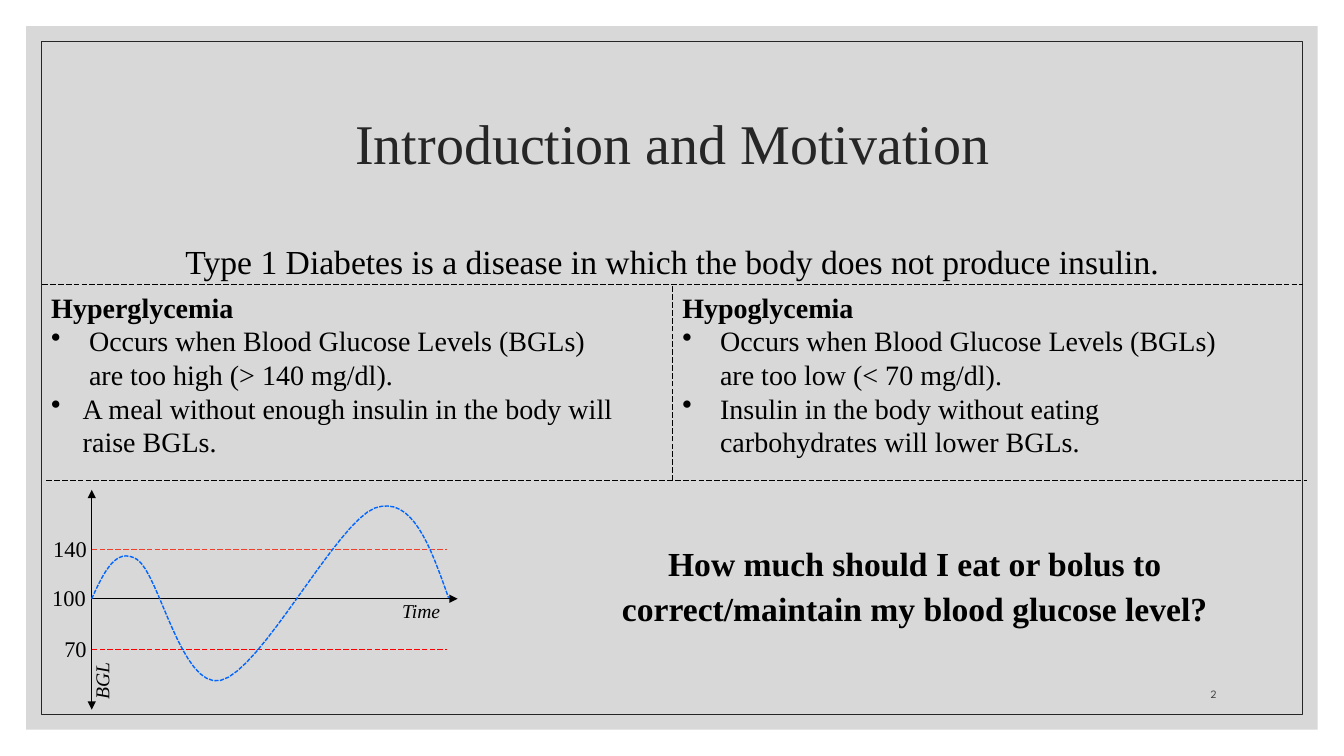
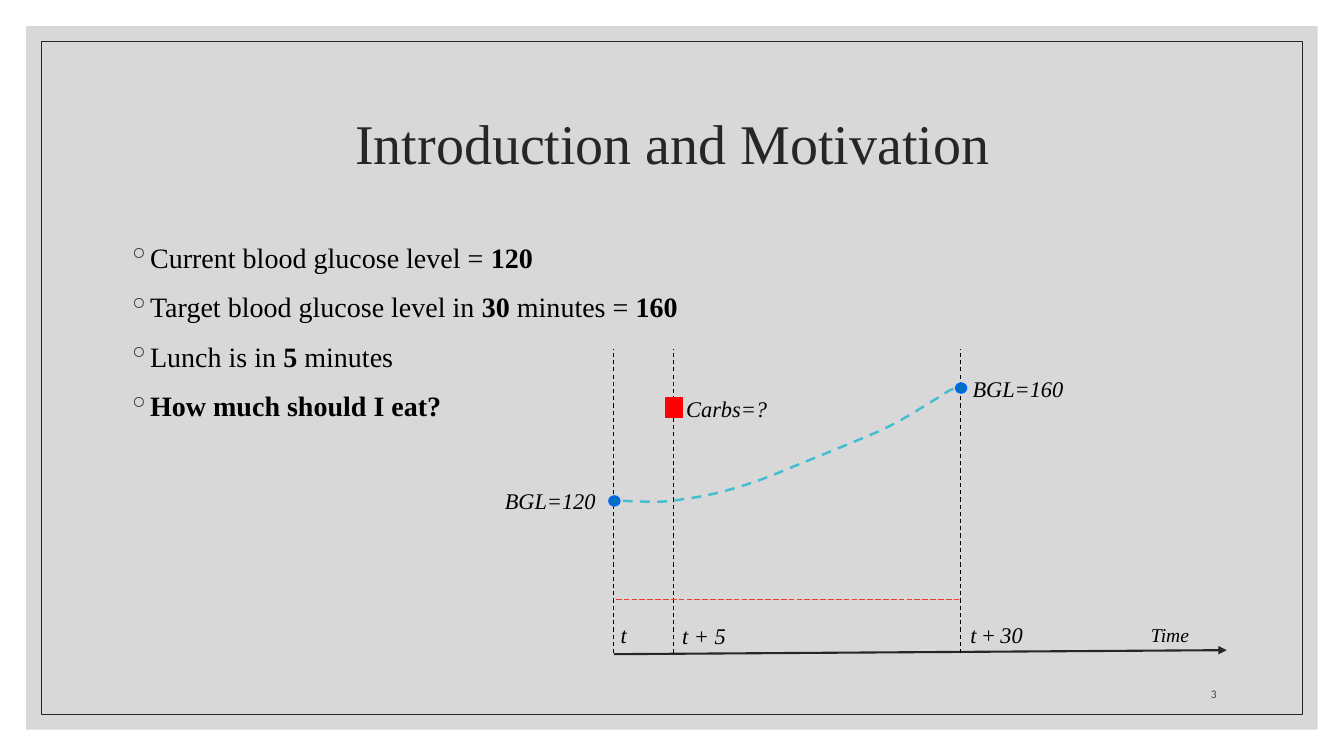
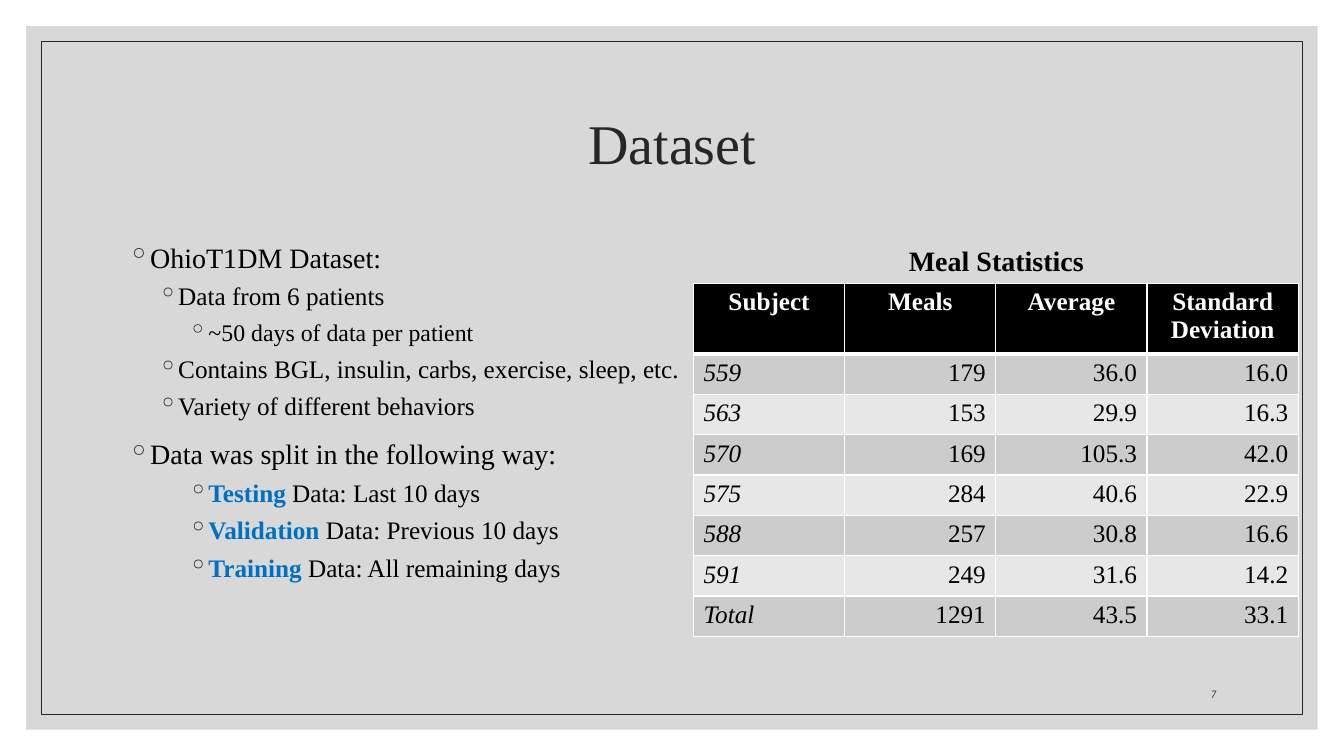
from lxml.etree import SubElement
from pptx import Presentation
from pptx.dml.color import RGBColor
from pptx.enum.dml import MSO_LINE
from pptx.enum.shapes import MSO_CONNECTOR, MSO_SHAPE
from pptx.enum.text import MSO_ANCHOR, PP_ALIGN
from pptx.oxml.ns import qn
from pptx.util import Pt

BLACK = RGBColor(0x00, 0x00, 0x00)
WHITE = RGBColor(0xFF, 0xFF, 0xFF)
INK = RGBColor(0x26, 0x26, 0x26)
PANEL = RGBColor(0xBF, 0xBF, 0xBF)
NUMBER_GREY = RGBColor(0x40, 0x40, 0x40)
LIMIT_RED = RGBColor(0xF0, 0x3F, 0x2B)
RED = RGBColor(0xFF, 0x00, 0x00)
BLUE = RGBColor(0x00, 0x70, 0xC0)
BRIGHT_BLUE = RGBColor(0x00, 0x66, 0xFF)
TEAL = RGBColor(0x44, 0xBD, 0xD0)
BAND_DARK = RGBColor(0xCC, 0xCC, 0xCC)
BAND_LIGHT = RGBColor(0xE7, 0xE7, 0xE7)

SERIF = "Times New Roman"
NUMBER_FONT = "League Spartan"
WIDTH, HEIGHT = 960, 540
BODY_LEFT, BODY_TOP, BODY_WIDTH = 84.24, 165.6, 792
# Indent, space before, line spacing and font size of each outline level
LEVELS = [(14.4, 9, 1.1, 20), (36, 5, None, 18), (57.6, 5, None, 17)]

GLUCOSE_CURVE = [
    (65.52, 427.68), (74.16, 408.96), (82.8, 390.24), (97.92, 399.6),
    (113.76, 409.68), (129.6, 492.48), (157.68, 486), (186.48, 479.52),
    (240.48, 372.96), (267.84, 362.88), (294.48, 353.52), (307.44, 390.24),
    (320.4, 426.96)]
TARGET_CURVE = [
    (681.12, 277.92), (677.52, 278.64), (674.64, 281.52), (666, 286.56),
    (657.36, 291.6), (647.28, 298.8), (629.28, 307.44), (611.28, 315.36),
    (580.32, 327.6), (558, 336.96), (535.68, 346.32), (509.04, 354.24),
    (488.88, 356.4), (469.44, 360), (460.08, 357.84), (442.8, 357.84)]
MEALS = [
    ("Subject", "Meals", "Average", "Standard Deviation"),
    ("559", "179", "36.0", "16.0"),
    ("563", "153", "29.9", "16.3"),
    ("570", "169", "105.3", "42.0"),
    ("575", "284", "40.6", "22.9"),
    ("588", "257", "30.8", "16.6"),
    ("591", "249", "31.6", "14.2"),
    ("Total", "1291", "43.5", "33.1")]


def add_box(page, left, top, width, height, anchor=MSO_ANCHOR.TOP):
    """Add an empty wrapping text box."""
    box = page.shapes.add_textbox(Pt(left), Pt(top), Pt(width), Pt(height))
    box.text_frame.word_wrap = True
    box.text_frame.vertical_anchor = anchor
    return box


def write(para, text, size, color=BLACK, bold=False, italic=False,
          align=PP_ALIGN.LEFT, font=SERIF, accent=None):
    """Fill a paragraph; parts between asterisks turn bold, or upright in italics."""
    para.alignment = align
    para.font.name, para.font.size = font, Pt(size)
    para.font.bold, para.font.italic = bold, italic
    para.font.color.rgb = color
    for index, part in enumerate(text.split("*")):
        if not part:
            continue
        span = para.add_run()
        span.text = part
        if index % 2 and italic:
            span.font.italic = False
        elif index % 2:
            span.font.bold = True
            if accent is not None:
                span.font.color.rgb = accent


def add_text(page, text, left, top, width, height, size,
             anchor=MSO_ANCHOR.TOP, spacing=None, **style):
    """Add a text box with one paragraph."""
    box = add_box(page, left, top, width, height, anchor)
    para = box.text_frame.paragraphs[0]
    if spacing:
        para.line_spacing = spacing
    write(para, text, size, **style)
    return box


def add_label(page, text, left, top, width, size=16):
    """Add an italic diagram label."""
    return add_text(page, text, left, top, width, 26.64, size, italic=True)


def set_bullet(para, character, indent, hanging, color=None):
    """Give a paragraph a bullet and a hanging indent; call before write."""
    properties = para._p.get_or_add_pPr()
    properties.set("marL", str(Pt(indent)))
    properties.set("indent", str(-Pt(hanging)))
    if color is not None:
        bullet_color = SubElement(properties, qn("a:buClr"))
        SubElement(bullet_color, qn("a:srgbClr"), val=str(color))
    SubElement(properties, qn("a:buChar"), char=character)


def next_para(frame, index):
    """Return the first paragraph for index 0, otherwise a new one."""
    return frame.add_paragraph() if index else frame.paragraphs[0]


def add_outline(page, items):
    """Add the bulleted body from (level, text, size or None) items."""
    box = add_box(page, BODY_LEFT, BODY_TOP, BODY_WIDTH, 303.12)
    for index, (level, text, own_size) in enumerate(items):
        indent, before, spacing, size = LEVELS[level]
        para = next_para(box.text_frame, index)
        para.level = level
        para.space_before = Pt(before)
        if spacing:
            para.line_spacing = spacing
        set_bullet(para, "◦", indent, 14.4, INK)
        write(para, text, own_size or size, accent=BLUE if level else None)


def add_condition(page, left, heading, items):
    """Add a bold heading with (indent, text) bullets below it."""
    box = add_box(page, left, 203.76, 419.04, 128.16)
    write(box.text_frame.paragraphs[0], heading, 20, bold=True)
    for indent, text in items:
        para = box.text_frame.add_paragraph()
        set_bullet(para, "•", indent, indent)
        write(para, text, 20)


def add_line(page, start, end, color=BLACK, width=0.5, dash=None, arrows=()):
    """Add a straight line; arrows names the ends that carry a triangle."""
    line = page.shapes.add_connector(
        MSO_CONNECTOR.STRAIGHT, *(Pt(value) for value in start + end))
    line.line.color.rgb = color
    line.line.width = Pt(width)
    if dash:
        line.line.dash_style = dash
    properties = line._element.spPr
    for arrow in arrows:
        SubElement(properties.find(qn("a:ln")), qn("a:" + arrow), type="triangle")
    SubElement(properties, qn("a:effectLst"))


def add_shape(page, kind, left, top, width, height, fill=None, line=None,
              line_width=1):
    """Add a preset shape without shadow."""
    shape = page.shapes.add_shape(kind, Pt(left), Pt(top), Pt(width), Pt(height))
    shape.shadow.inherit = False
    if fill is None:
        shape.fill.background()
    else:
        shape.fill.solid()
        shape.fill.fore_color.rgb = fill
    if line is None:
        shape.line.fill.background()
    else:
        shape.line.color.rgb = line
        shape.line.width = Pt(line_width)
    return shape


def bezier_points(controls, steps=16):
    """Yield points along a chain of cubic curves, after its start."""
    for first in range(0, len(controls) - 1, 3):
        segment = controls[first:first + 4]
        for step in range(1, steps + 1):
            t = step / steps
            weights = ((1 - t) ** 3, 3 * t * (1 - t) ** 2,
                       3 * t * t * (1 - t), t ** 3)
            yield tuple(
                Pt(sum(w * point[axis] for w, point in zip(weights, segment)))
                for axis in (0, 1))


def add_curve(page, controls, color, width, dash):
    """Add an open dashed curve through cubic control points."""
    left, top = controls[0]
    builder = page.shapes.build_freeform(Pt(left), Pt(top))
    builder.add_line_segments(bezier_points(controls), close=False)
    curve = builder.convert_to_shape()
    curve.shadow.inherit = False
    curve.fill.background()
    curve.line.color.rgb = color
    curve.line.width = Pt(width)
    curve.line.dash_style = dash


def set_borders(cell, bottom):
    """Draw white cell borders; call before the fill is set."""
    properties = cell._tc.get_or_add_tcPr()
    for side, width in (("L", 1), ("R", 1), ("T", 1), ("B", bottom)):
        border = SubElement(properties, qn("a:ln" + side), w=str(Pt(width)))
        fill = SubElement(border, qn("a:solidFill"))
        SubElement(fill, qn("a:srgbClr"), val=str(WHITE))


def add_meal_table(page):
    """Add the banded table of meal statistics."""
    row_height, column_width = 28.2, 108
    table = page.shapes.add_table(
        len(MEALS), len(MEALS[0]), Pt(495.36), Pt(202.32),
        Pt(column_width * len(MEALS[0])), Pt(row_height * len(MEALS))).table
    for row, values in enumerate(MEALS):
        for column, value in enumerate(values):
            cell = table.cell(row, column)
            set_borders(cell, 1 if row else 3)
            cell.fill.solid()
            para = cell.text_frame.paragraphs[0]
            if row == 0:
                cell.fill.fore_color.rgb = BLACK
                write(para, value, 18, WHITE, bold=True, align=PP_ALIGN.CENTER)
            else:
                cell.fill.fore_color.rgb = BAND_DARK if row % 2 else BAND_LIGHT
                write(para, value, 18, italic=column == 0,
                      align=PP_ALIGN.RIGHT if column else PP_ALIGN.LEFT)


def add_page(deck, title, number):
    """Add a slide with the shared panel, frame, title and number."""
    page = deck.slides.add_slide(deck.slide_layouts[6])
    for inset, style in ((18.72, {"fill": PANEL}),
                         (29.52, {"line": INK, "line_width": 0.5})):
        shape = add_shape(page, MSO_SHAPE.RECTANGLE, inset, inset,
                          WIDTH - 2 * inset, HEIGHT - 2 * inset, **style)
        if "fill" in style:
            color = shape._element.spPr.find(qn("a:solidFill"))[0]
            SubElement(color, qn("a:alpha"), val="60000")
    add_text(page, title, BODY_LEFT, 50.4, BODY_WIDTH, 108, 40,
             anchor=MSO_ANCHOR.MIDDLE, spacing=0.9, color=INK,
             align=PP_ALIGN.CENTER)
    add_text(page, number, 810, 475.2, 66.24, 28.8, 8,
             anchor=MSO_ANCHOR.BOTTOM, color=NUMBER_GREY,
             align=PP_ALIGN.RIGHT, font=NUMBER_FONT)
    return page


def build_conditions(deck):
    """Build the slide on high and low glucose levels."""
    page = add_page(deck, "Introduction and Motivation", "2")
    add_text(page, "Type 1 Diabetes is a disease in which the body does not "
             "produce insulin.", BODY_LEFT, BODY_TOP, BODY_WIDTH, 37.44, 24,
             spacing=1.1, align=PP_ALIGN.CENTER)
    for start, end in (((480.24, 343.44), (480.24, 203.04)),
                       ((30.24, 203.04), (930.96, 203.04)),
                       ((33.12, 343.44), (933.84, 343.44))):
        add_line(page, start, end, dash=MSO_LINE.LONG_DASH)
    add_condition(page, 29.52, "Hyperglycemia", [
        (27, "Occurs when Blood Glucose Levels (BGLs) are too high (> 140 mg/dl)."),
        (22.5, "A meal without enough insulin in the body will raise BGLs.")])
    add_condition(page, 480.24, "Hypoglycemia", [
        (27, "Occurs when Blood Glucose Levels (BGLs) are too low (< 70 mg/dl)."),
        (27, "Insulin in the body without eating carbohydrates will lower BGLs.")])
    add_text(page, "How much should I eat or bolus to correct/maintain my blood "
             "glucose level?", 414.72, 381.6, 477.36, 91.44, 24, spacing=1.1,
             bold=True, align=PP_ALIGN.CENTER)
    axis = 65.52
    add_line(page, (axis, 506.88), (axis, 349.92), arrows=("headEnd", "tailEnd"))
    add_line(page, (axis, 427.68), (326.88, 427.68), arrows=("tailEnd",))
    for level, color in ((392.4, LIMIT_RED), (463.68, RED)):
        add_line(page, (axis, level), (318.96, level), color,
                 dash=MSO_LINE.LONG_DASH)
    add_curve(page, GLUCOSE_CURVE, BRIGHT_BLUE, 1, MSO_LINE.SQUARE_DOT)
    add_label(page, "Time", 280.08, 424.08, 52.56, 14)
    add_text(page, "BGL", 46.8, 468.72, 51.84, 24.48, 14, italic=True).rotation = 270
    for text, left, top in (("140", 30.96, 378.72), ("70", 38.88, 450),
                            ("100", 30.24, 414)):
        add_text(page, text, left, top, 41.04, 26.64, 16)


def build_question(deck):
    """Build the slide with the lunch example and its timeline."""
    page = add_page(deck, "Introduction and Motivation", "3")
    add_outline(page, [
        (0, "Current blood glucose level = *120*", None),
        (0, "Target blood glucose level in *30* minutes = *160*", None),
        (0, "Lunch is in *5* minutes", None),
        (0, "*How much should I eat?*", None)])
    add_line(page, (438.48, 467.28), (876.24, 464.4), INK, 1.5,
             arrows=("tailEnd",))
    for moment in (438.48, 480.96, 686.16):
        add_line(page, (moment, 466.56), (moment, 249.12), width=0.75,
                 dash=MSO_LINE.DASH)
    add_line(page, (439.92, 428.4), (686.16, 428.4), LIMIT_RED,
             dash=MSO_LINE.LONG_DASH)
    for left, top in ((434.88, 354.24), (682.56, 273.6)):
        add_shape(page, MSO_SHAPE.OVAL, left, top, 7.92, 7.2, BLUE, BRIGHT_BLUE)
    add_shape(page, MSO_SHAPE.RECTANGLE, 475.2, 284.4, 12.24, 13.68, RED, RED)
    for text, left, top, width in (
            ("t", 436.32, 439.92, 29.52), ("t + 5", 480.24, 440.64, 77.04),
            ("t *+ *30", 686.16, 439.92, 66.96),
            ("BGL=120", 353.52, 344.16, 83.52),
            ("BGL=160", 687.6, 264.24, 109.44),
            ("Carbs=?", 483.12, 278.64, 115.2)):
        add_label(page, text, left, top, width)
    add_label(page, "Time", 815.04, 441.36, 52.56, 14)
    add_curve(page, TARGET_CURVE, TEAL, 1.75, MSO_LINE.DASH)


def build_dataset(deck):
    """Build the slide on the data and its meal statistics."""
    page = add_page(deck, "Dataset", "7")
    add_outline(page, [
        (0, "OhioT1DM Dataset:", None),
        (1, "Data from 6 patients", None),
        (2, "~50 days of data per patient", None),
        (1, "Contains BGL, insulin, carbs, exercise, sleep, etc.", None),
        (1, "Variety of different behaviors", None),
        (0, "Data was split in the following way:", None),
        (2, "*Testing* Data: Last 10 days", 18),
        (2, "*Validation* Data: Previous 10 days", 18),
        (2, "*Training *Data: All remaining days", 18)])
    add_meal_table(page)
    add_text(page, "Meal Statistics", 564.48, 170.64, 294.48, 31.68, 20,
             bold=True, align=PP_ALIGN.CENTER)


def main():
    """Build and save the deck."""
    deck = Presentation()
    deck.slide_width, deck.slide_height = Pt(WIDTH), Pt(HEIGHT)
    build_conditions(deck)
    build_question(deck)
    build_dataset(deck)
    deck.save("out.pptx")


main()
